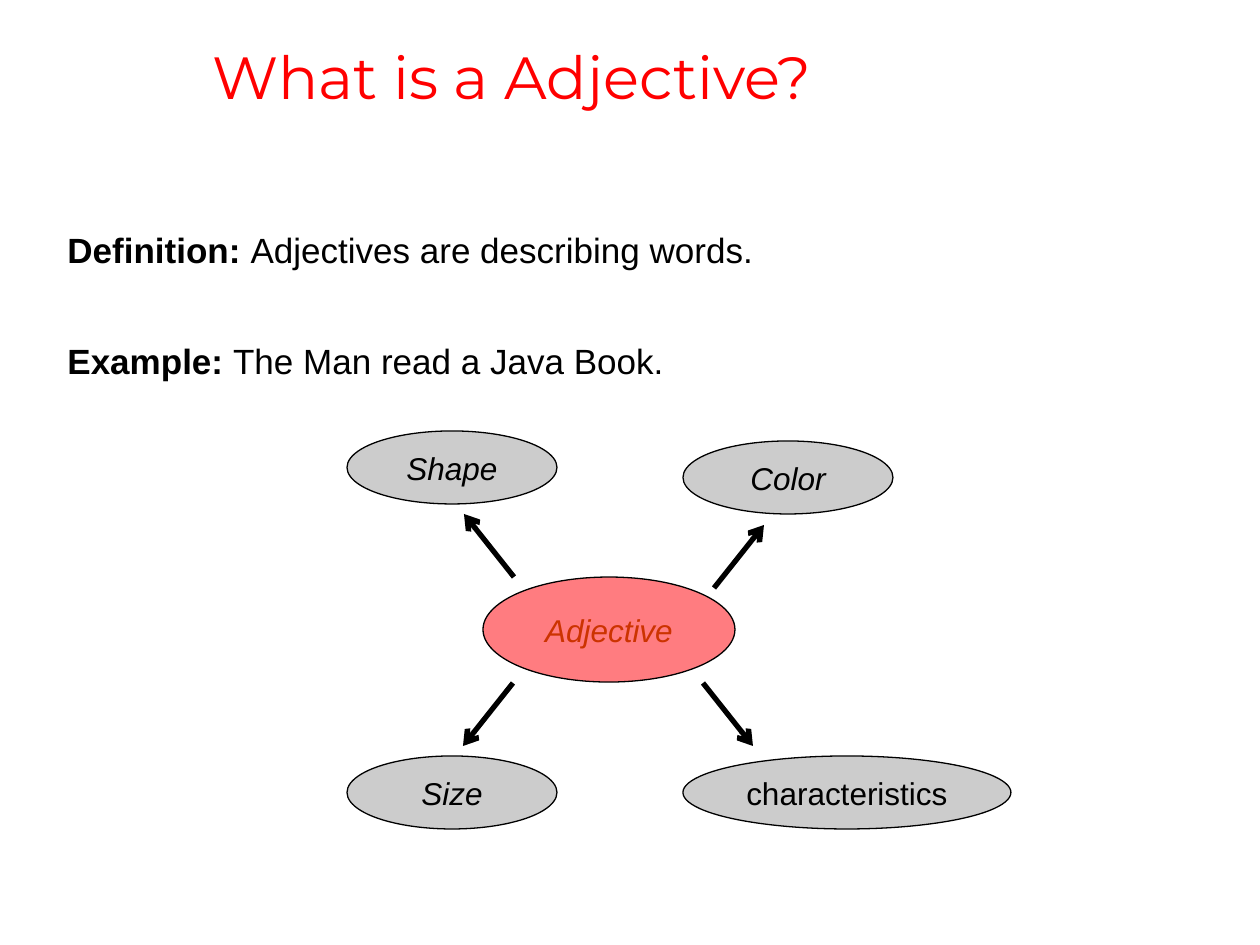
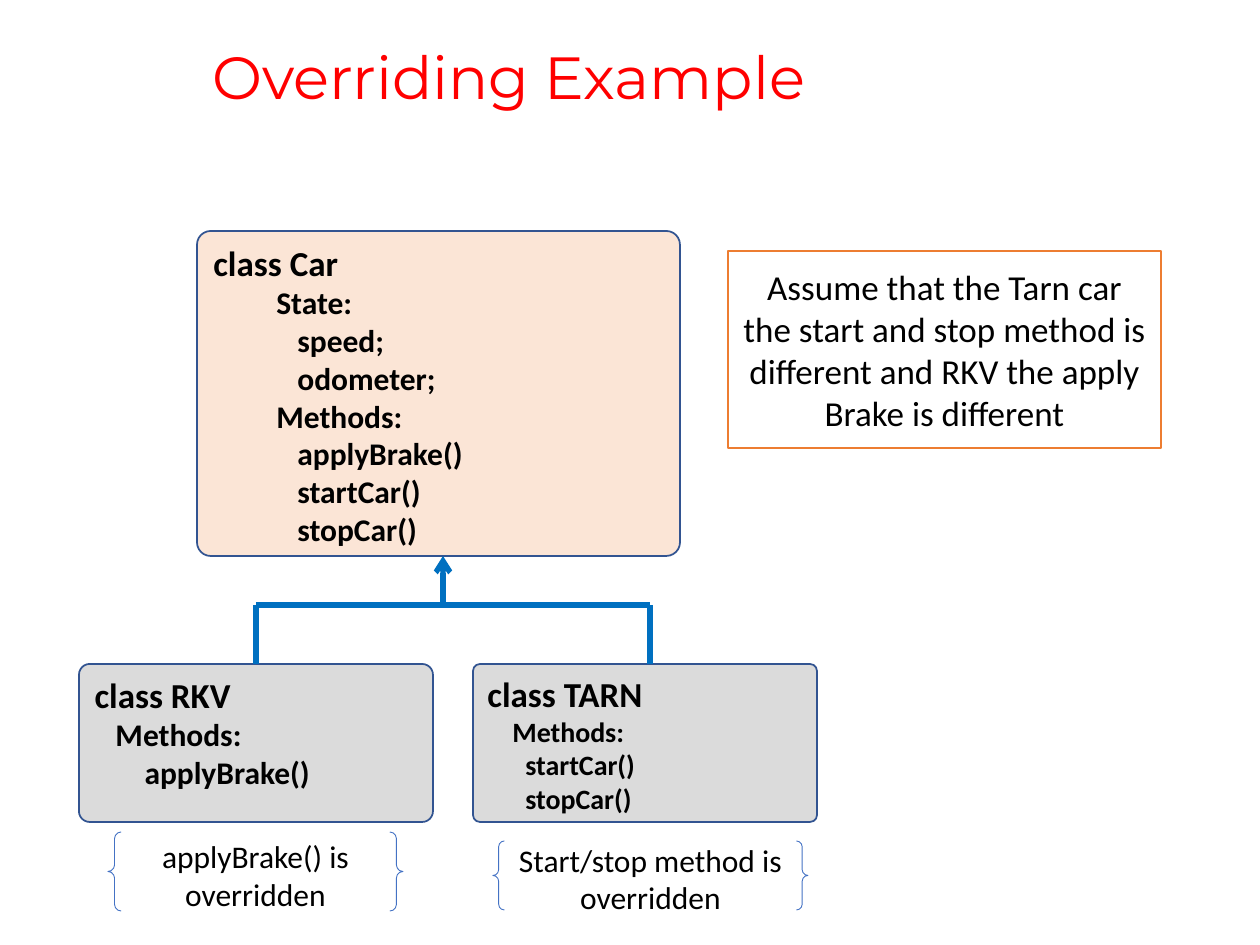
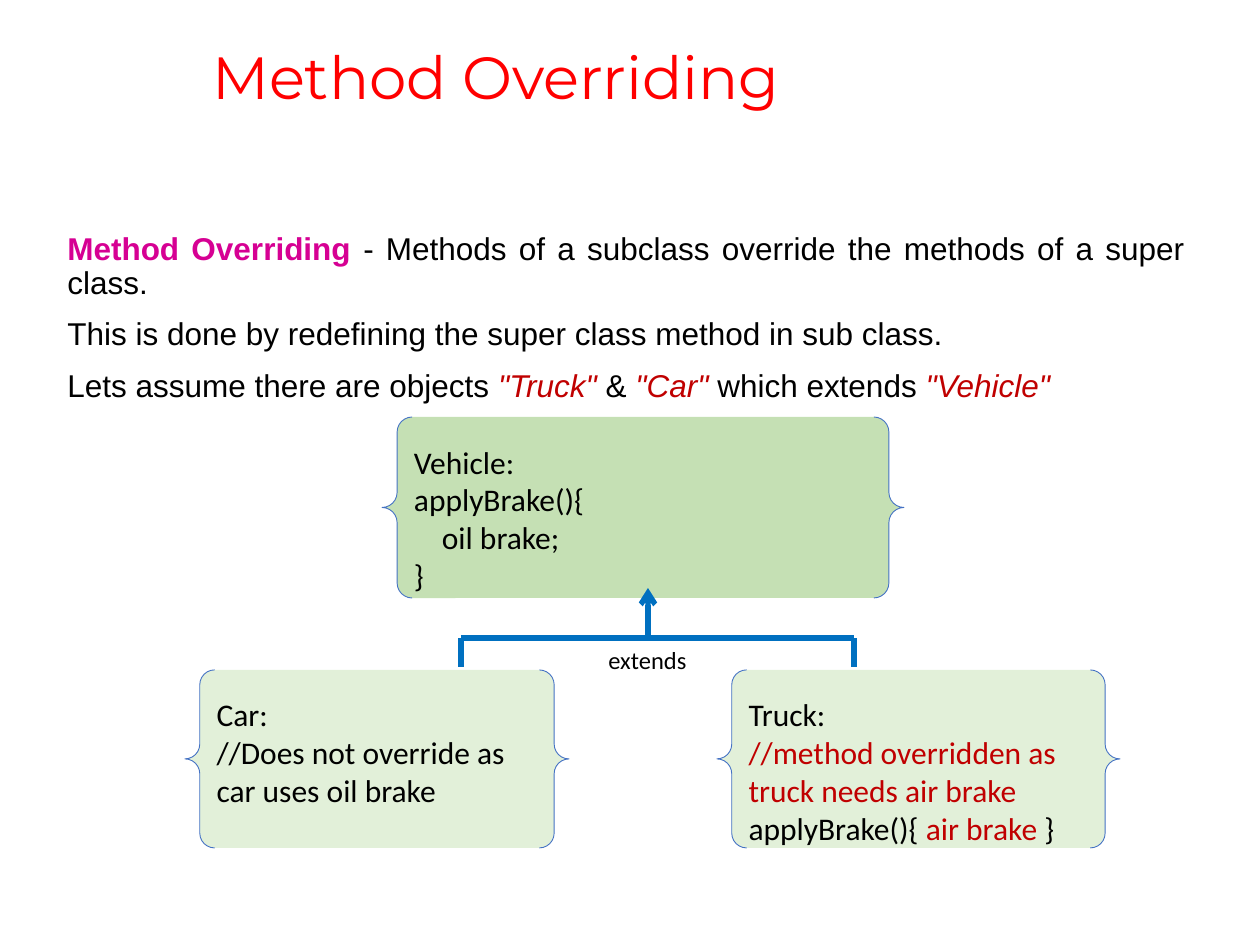
import pptx
import pptx.util
import pptx.dml.color
import pptx.enum.shapes
import pptx.enum.text
import pptx.oxml.ns
import lxml.etree

RGBColor = pptx.dml.color.RGBColor
SHAPE = pptx.enum.shapes.MSO_SHAPE
ALIGN = pptx.enum.text.PP_ALIGN
ANCHOR = pptx.enum.text.MSO_ANCHOR
qn = pptx.oxml.ns.qn

# Shared look
PX_PER_INCH = 126
SLIDE = (1260, 945)
TITLE_BOX = (200, 1, 1060, 158)
BODY_BOX = (55, 227, 1142, 605)

BLACK = RGBColor(0, 0, 0)
WHITE = RGBColor(255, 255, 255)
RED = RGBColor(255, 0, 0)
DARK_RED = RGBColor(0xC0, 0, 0)
RUST = RGBColor(0xCC, 0x33, 0)
MAGENTA = RGBColor(0xD6, 0, 0x93)
ROSE = RGBColor(0xFF, 0x7C, 0x80)
GRAY = RGBColor(0xCC, 0xCC, 0xCC)
PALE_GRAY = RGBColor(0xDB, 0xDB, 0xDB)
PEACH = RGBColor(0xFB, 0xE5, 0xD6)
ORANGE = RGBColor(0xED, 0x7D, 0x31)
NAVY = RGBColor(0x32, 0x54, 0x91)
BLUE = RGBColor(0x44, 0x72, 0xC4)
LINK_BLUE = RGBColor(0, 0x70, 0xC0)
GREEN = RGBColor(0xC5, 0xE0, 0xB4)
PALE_GREEN = RGBColor(0xE2, 0xF0, 0xD9)

# Content: a paragraph is a list of runs, a run is text with its own format
BOLD = {"bold": True}
TERM = {"color": DARK_RED, "italic": True}
ACCENT = {"color": DARK_RED}

ADJECTIVE_FACTS = [
    [("Definition: ", BOLD), ("Adjectives are describing words.", {})],
    [("Example: ", BOLD), ("The Man read a Java Book.", {})],
]
ADJECTIVE_HUB = ("Adjective", (483, 577, 252, 105))
ADJECTIVE_KINDS = [
    ("Color", (683, 441, 210, 73), True),
    ("characteristics", (683, 756, 328, 73), False),
    ("Shape", (347, 431, 210, 73), True),
    ("Size", (347, 756, 210, 73), True),
]
ARROW_STEP = (50, 63)
ARROW_STARTS = [  # start point, then direction in x and y
    ((714, 588), (1, -1)),
    ((514, 577), (-1, -1)),
    ((513, 683), (-1, 1)),
    ((703, 683), (1, 1)),
]

# Class box: place, corner, fill, heading, member size, (indent, member)
CLASSES = [
    ((197, 231, 483, 325), 0.042, PEACH, "class Car", 18, [
        (63, "State:"), (84, "speed;"), (84, "odometer;"), (63, "Methods:"),
        (84, "applyBrake()"), (84, "startCar()"), (84, "stopCar()")]),
    ((79, 664, 354, 158), 0.068, PALE_GRAY, "class RKV", 18, [
        (21, "Methods:"), (50, "applyBrake()")]),
    ((473, 664, 344, 158), 0.044, PALE_GRAY, "class TARN", 16, [
        (25, "Methods:"), (38, "startCar()"), (38, "stopCar()")]),
]
ASSUMPTION = ("Assume that the Tarn car the start and stop method is "
              "different and RKV the apply Brake is different")
OVERRIDE_NOTES = [
    ("applyBrake() is overridden", (108, 832, 295, 79)),
    ("Start/stop method is overridden", (493, 841, 315, 69)),
]

OVERRIDING_FACTS = [
    [("Method Overriding ", {"bold": True, "color": MAGENTA}),
     ("- Methods of a subclass override the methods of a super class.", {})],
    "This is done by redefining the super class method in sub class.",
    [("Lets assume there are objects ", {}), ('"Truck" ', TERM), ("& ", {}),
     ('"Car" ', TERM), ("which extends ", {}), ('"Vehicle"', TERM)],
]
VEHICLES = [  # place, fill, indents, lines
    ((382, 417, 522, 181), GREEN, (0, 0, 28, 0),
     ["Vehicle:", "applyBrake(){", "oil brake;", "}"]),
    ((185, 670, 384, 178), PALE_GREEN, (),
     ["Car:", "//Does not override as car uses oil brake"]),
    ((717, 670, 403, 178), PALE_GREEN, (),
     ["Truck:",
      [("//method overridden as truck needs air brake", ACCENT)],
      [("applyBrake(){ ", {}), ("air brake ", ACCENT), ("}", {})]]),
]


def px(length):
    return round(length * 914400 / PX_PER_INCH)


def write(shape, paragraphs, *, font="Calibri", size=18, color=BLACK,
          bold=False, italic=False, align=ALIGN.LEFT, anchor=ANCHOR.TOP,
          line_spacing=None, space_before=(), indents=()):
    """Fill a shape with paragraphs; runs may override the format."""
    frame = shape.text_frame
    frame.word_wrap = True
    frame.vertical_anchor = anchor
    base = dict(size=size, color=color, bold=bold, italic=italic)
    for number, runs in enumerate(paragraphs):
        paragraph = frame.add_paragraph() if number else frame.paragraphs[0]
        paragraph.alignment = align
        if line_spacing:
            paragraph.line_spacing = line_spacing
        if space_before:
            paragraph.space_before = pptx.util.Pt(space_before[number])
        if indents:
            paragraph._p.get_or_add_pPr().set("marL", str(px(indents[number])))
        for text, changes in [(runs, {})] if isinstance(runs, str) else runs:
            look = {**base, **changes}
            run = paragraph.add_run()
            run.text = text
            run.font.name = font
            run.font.size = pptx.util.Pt(look["size"])
            run.font.bold = look["bold"]
            run.font.italic = look["italic"]
            run.font.color.rgb = look["color"]


def add_text(slide, box, paragraphs, **look):
    write(slide.shapes.add_textbox(*map(px, box)), paragraphs, **look)


def add_figure(slide, kind, box, paragraphs, *, fill=None, line=BLACK,
               weight=0.75, corner=None, **look):
    figure = slide.shapes.add_shape(kind, *map(px, box))
    figure.shadow.inherit = False
    if corner is not None:
        figure.adjustments[0] = corner
    if fill is None:
        figure.fill.background()
    else:
        figure.fill.solid()
        figure.fill.fore_color.rgb = fill
    figure.line.color.rgb = line
    figure.line.width = pptx.util.Pt(weight)
    write(figure, paragraphs, **look)
    return figure


def add_line(slide, start, end, color=BLACK, arrow=False):
    line = slide.shapes.add_connector(
        pptx.enum.shapes.MSO_CONNECTOR.STRAIGHT, *map(px, (*start, *end)))
    line.line.color.rgb = color
    line.line.width = pptx.util.Pt(3)
    properties = line._element.spPr
    if arrow:
        lxml.etree.SubElement(properties.find(qn("a:ln")),
                              qn("a:tailEnd")).set("type", "arrow")
    lxml.etree.SubElement(properties, qn("a:effectLst"))
    return line


def add_inheritance(slide, children, child_top, bus, parent):
    """Draw child stems, a bus and an arrow to the parent; return the stems."""
    stems = [add_line(slide, (x, child_top), (x, bus), LINK_BLUE)
             for x in children]
    add_line(slide, (children[0], bus), (children[-1], bus), LINK_BLUE)
    add_line(slide, (parent[0], bus), parent, LINK_BLUE, arrow=True)
    return stems


def add_slide(deck, title):
    slide = deck.slides.add_slide(deck.slide_layouts[6])
    add_text(slide, TITLE_BOX, [title], font="Montserrat", size=34, color=RED,
             anchor=ANCHOR.MIDDLE, line_spacing=0.9)
    return slide


def build_adjective(deck):
    slide = add_slide(deck, "What is a Adjective?")
    add_text(slide, BODY_BOX, ADJECTIVE_FACTS, font="Arial", size=20,
             line_spacing=0.9, space_before=(10, 42))
    centred = dict(font="Arial", align=ALIGN.CENTER, anchor=ANCHOR.MIDDLE)
    hub, hub_box = ADJECTIVE_HUB
    add_figure(slide, SHAPE.OVAL, hub_box, [hub], fill=ROSE, color=RUST,
               italic=True, **centred)
    for (x, y), (across, down) in ARROW_STARTS:
        tip = (x + across * ARROW_STEP[0], y + down * ARROW_STEP[1])
        add_line(slide, (x, y), tip, arrow=True)
    for kind, box, italic in ADJECTIVE_KINDS:
        add_figure(slide, SHAPE.OVAL, box, [kind], fill=GRAY, italic=italic,
                   **centred)


def build_example(deck):
    slide = add_slide(deck, "Overriding Example")
    class_boxes = []
    for box, corner, fill, heading, size, members in CLASSES:
        indents, names = zip(*members)
        class_boxes.append(add_figure(
            slide, SHAPE.ROUNDED_RECTANGLE, box,
            [[(heading, {"size": 20})], *names], fill=fill, line=NAVY,
            weight=1, corner=corner, size=size, bold=True,
            indents=(0, *indents)))
    stems = add_inheritance(slide, (256, 650), 664, 605, (443, 556))
    stems[0].begin_connect(class_boxes[1], 0)

    # Notes
    centred = dict(align=ALIGN.CENTER, anchor=ANCHOR.MIDDLE)
    add_figure(slide, SHAPE.RECTANGLE, (728, 251, 433, 197), [ASSUMPTION],
               fill=WHITE, line=ORANGE, weight=1, size=20, **centred)
    for note, box in OVERRIDE_NOTES:
        add_figure(slide, SHAPE.DOUBLE_BRACE, box, [note], line=BLUE,
                   weight=0.5, **centred)


def build_overriding(deck):
    slide = add_slide(deck, "Method Overriding")
    add_text(slide, BODY_BOX, OVERRIDING_FACTS, font="Arial",
             align=ALIGN.JUSTIFY, line_spacing=0.9, space_before=(10, 10, 10))
    for box, fill, indents, lines in VEHICLES:
        add_figure(slide, SHAPE.DOUBLE_BRACE, box, lines, fill=fill, line=BLUE,
                   weight=0.5, indents=indents)
    add_inheritance(slide, (461, 854), 667, 638, (648, 588))
    add_text(slide, (587, 638, 121, 43), ["extends"], size=14,
             align=ALIGN.CENTER, anchor=ANCHOR.MIDDLE)


def main():
    deck = pptx.Presentation()
    deck.slide_width, deck.slide_height = map(px, SLIDE)
    build_adjective(deck)
    build_example(deck)
    build_overriding(deck)
    deck.save("out.pptx")


if __name__ == "__main__":
    main()
